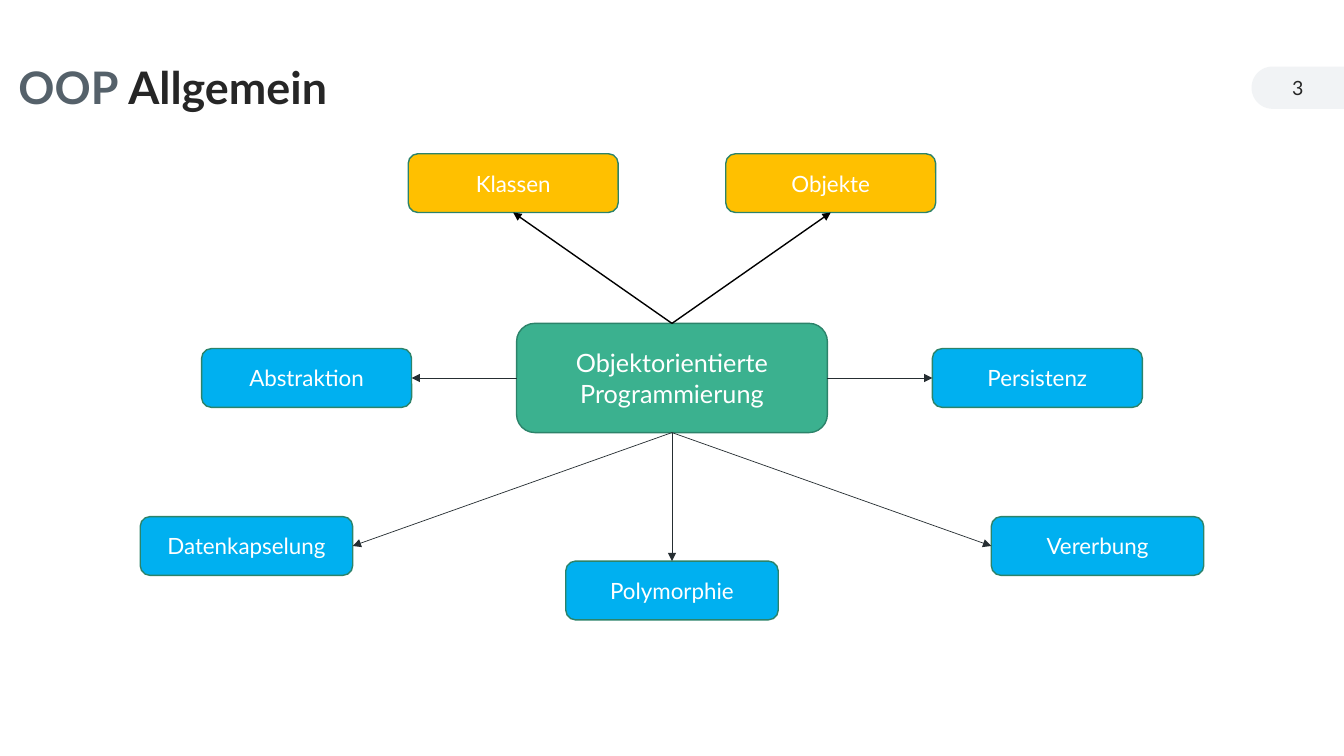
from math import cos, radians, sin

from lxml import etree
from pptx import Presentation
from pptx.dml.color import RGBColor
from pptx.enum.shapes import MSO_CONNECTOR, MSO_SHAPE
from pptx.enum.text import MSO_ANCHOR, MSO_AUTO_SIZE, PP_ALIGN
from pptx.oxml.ns import qn
from pptx.util import Inches, Pt

ROUNDED = MSO_SHAPE.ROUNDED_RECTANGLE
STRAIGHT = MSO_CONNECTOR.STRAIGHT
MIDDLE = MSO_ANCHOR.MIDDLE
NO_FIT = MSO_AUTO_SIZE.NONE
LEFT, CENTER = PP_ALIGN.LEFT, PP_ALIGN.CENTER

COLUMNS, ROWS = 160, 90
CELL = Inches(1) // 12
TOP_SIDE, LEFT_SIDE, BOTTOM_SIDE, RIGHT_SIDE = range(4)


def color(value):
    return RGBColor.from_string(value)


def cells(count):
    return round(count * CELL)


class SlideBuilder:
    """Draws styled elements on a slide, measured in grid columns and rows."""

    font = "Lato"
    dark = "262626"
    outline = "2C836A"

    def __init__(self, presentation):
        self.slide = presentation.slides.add_slide(presentation.slide_layouts[5])

    def add_text(self, shape, runs, size, alignment, bold=False):
        frame = shape.text_frame
        frame.word_wrap = True
        frame.vertical_anchor = MIDDLE
        paragraph = frame.paragraphs[0]
        paragraph.alignment = alignment
        for text, text_color in runs:
            run = paragraph.add_run()
            run.text = text
            run.font.name = self.font
            run.font.size = Pt(size)
            run.font.bold = bold
            run.font.color.rgb = color(text_color)
        return paragraph

    def title(self, left, top, width, height, runs):
        shape = self.slide.shapes.title
        shape.left, shape.top = cells(left), cells(top)
        shape.width, shape.height = cells(width), cells(height)
        frame = shape.text_frame
        frame.auto_size = NO_FIT
        frame.margin_left = frame.margin_right = 0
        paragraph = self.add_text(shape, runs, 32, LEFT, bold=True)
        paragraph.line_spacing = 0.9

    def page_tab(self, middle, width, radius, number):
        center = COLUMNS - width + radius
        angles = range(90, 271, 5)
        arc = [(cells(center + radius * cos(radians(angle))),
                cells(middle + radius * sin(radians(angle)))) for angle in angles]
        right = cells(COLUMNS)
        builder = self.slide.shapes.build_freeform(right, cells(middle + radius))
        builder.add_line_segments(arc + [(right, cells(middle - radius))])
        shape = builder.convert_to_shape()
        shape.shadow.inherit = False
        shape.fill.solid()
        shape.fill.fore_color.rgb = color("F1F3F5")
        shape.line.fill.background()
        shape.text_frame.margin_left = shape.text_frame.margin_right = 0
        self.add_text(shape, [(number, self.dark)], 14, CENTER)

    def box(self, text, offset, middle, width, height, fill, size=16):
        left = COLUMNS / 2 + offset - width / 2
        shape = self.slide.shapes.add_shape(
            ROUNDED, cells(left), cells(middle - height / 2), cells(width), cells(height))
        shape.shadow.inherit = False
        shape.fill.solid()
        shape.fill.fore_color.rgb = color(fill)
        shape.line.color.rgb = color(self.outline)
        shape.line.width = Pt(1)
        self.add_text(shape, [(text, "FFFFFF")], size, CENTER)
        return shape

    def arrow(self, start, start_side, end, end_side, line_color, width):
        connector = self.slide.shapes.add_connector(STRAIGHT, 0, 0, 0, 0)
        connector.begin_connect(start, start_side)
        connector.end_connect(end, end_side)
        connector.line.color.rgb = color(line_color)
        connector.line.width = Pt(width)
        properties = connector.element.spPr
        line = properties.find(qn("a:ln"))
        etree.SubElement(line, qn("a:tailEnd"), type="triangle")
        etree.SubElement(properties, qn("a:effectLst"))


def main():
    presentation = Presentation()
    presentation.slide_width = cells(COLUMNS)
    presentation.slide_height = cells(ROWS)
    builder = SlideBuilder(presentation)
    builder.page_tab(10.44, 11, 2.52, "3")
    builder.title(2.2, 5.4, 79, 10.6, [("OOP ", "55616A"), ("Allgemein", builder.dark)])

    hub = builder.box("Objektorientierte Programmierung", 0, 45, 37, 13, "3BB18F", 18)
    blue, yellow = "00B0F0", "FFC000"
    thin, strong = ("262E32", 0.5), ("000000", 1)
    concepts = [
        ("Abstraktion", -43.5, 45, 25, blue, LEFT_SIDE, RIGHT_SIDE, thin),
        ("Datenkapselung", -50.66, 65, 25.3, blue, BOTTOM_SIDE, RIGHT_SIDE, thin),
        ("Polymorphie", 0, 70.3, 25.3, blue, BOTTOM_SIDE, TOP_SIDE, thin),
        ("Vererbung", 50.66, 65, 25.3, blue, BOTTOM_SIDE, LEFT_SIDE, thin),
        ("Persistenz", 43.5, 45, 25, blue, RIGHT_SIDE, LEFT_SIDE, thin),
        ("Objekte", 18.9, 21.8, 25, yellow, TOP_SIDE, BOTTOM_SIDE, strong),
        ("Klassen", -18.9, 21.8, 25, yellow, TOP_SIDE, BOTTOM_SIDE, strong),
    ]
    for text, offset, middle, width, fill, hub_side, side, line in concepts:
        concept = builder.box(text, offset, middle, width, 7, fill)
        builder.arrow(hub, hub_side, concept, side, *line)

    presentation.save("out.pptx")


if __name__ == "__main__":
    main()
